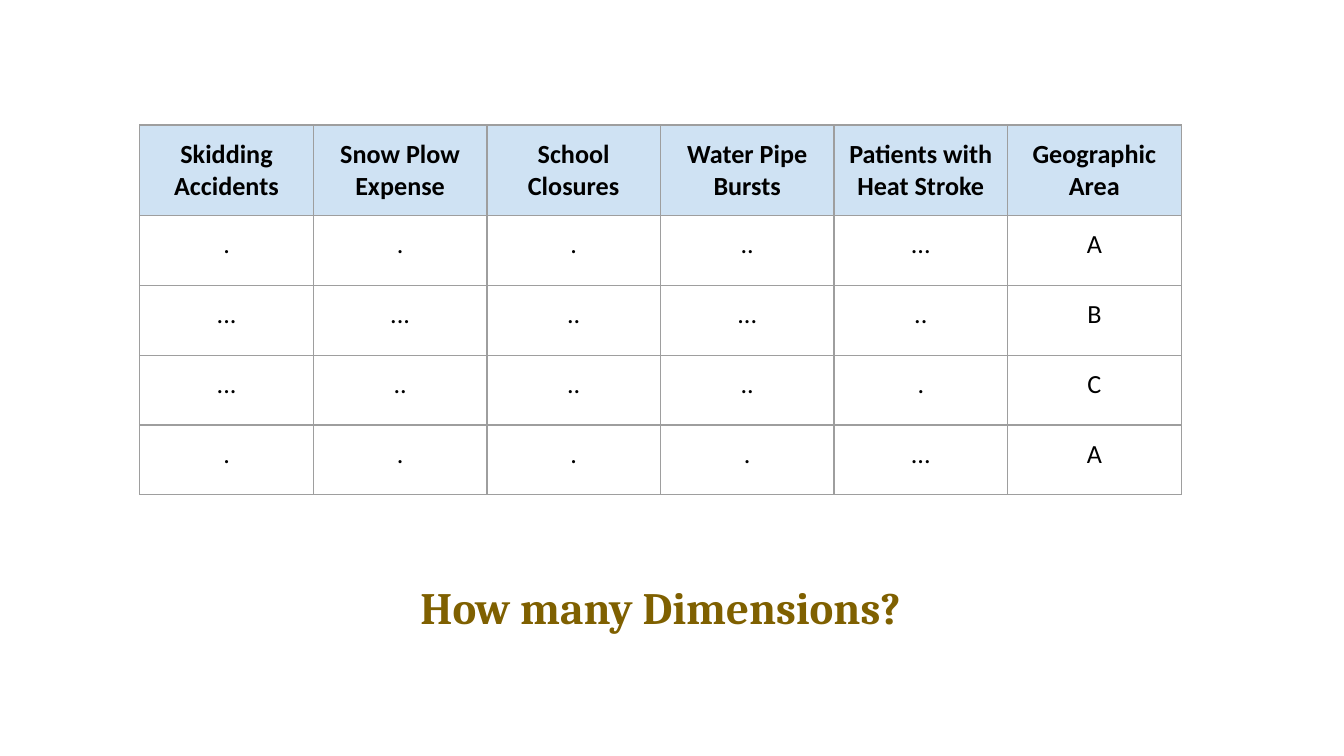
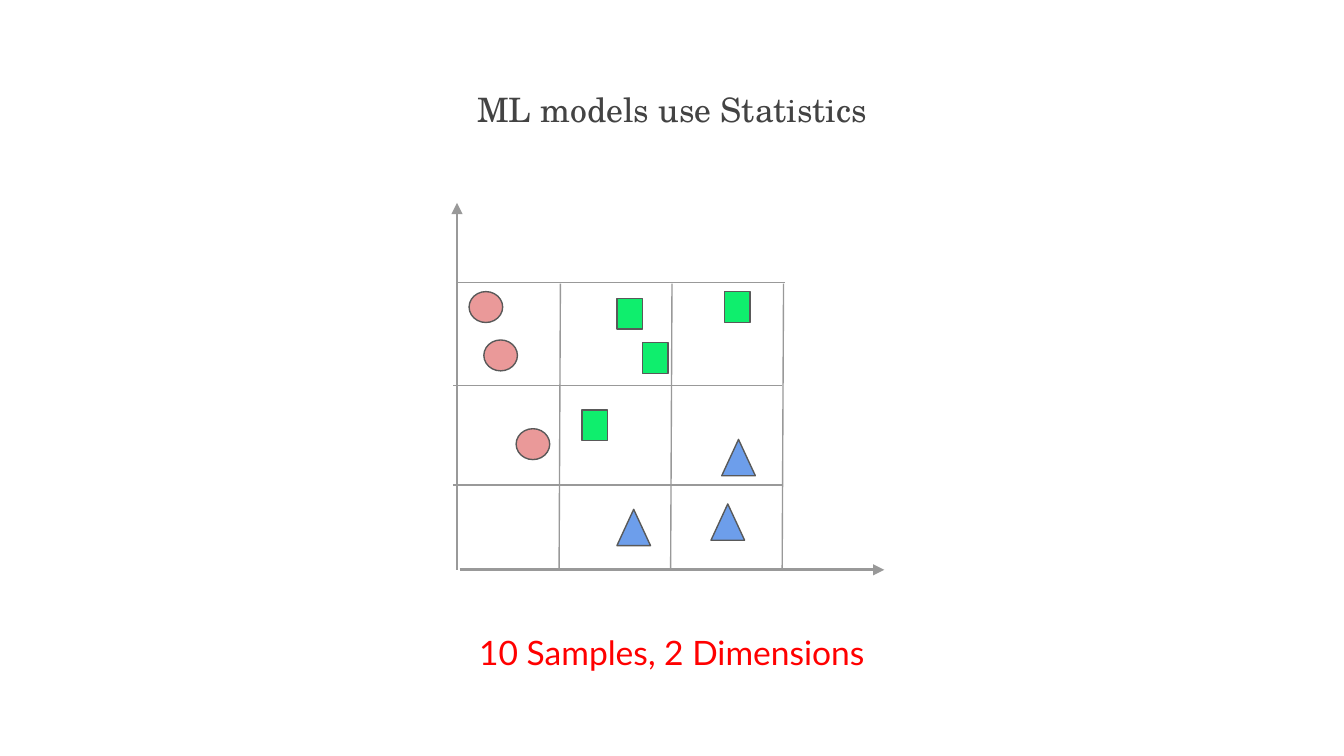
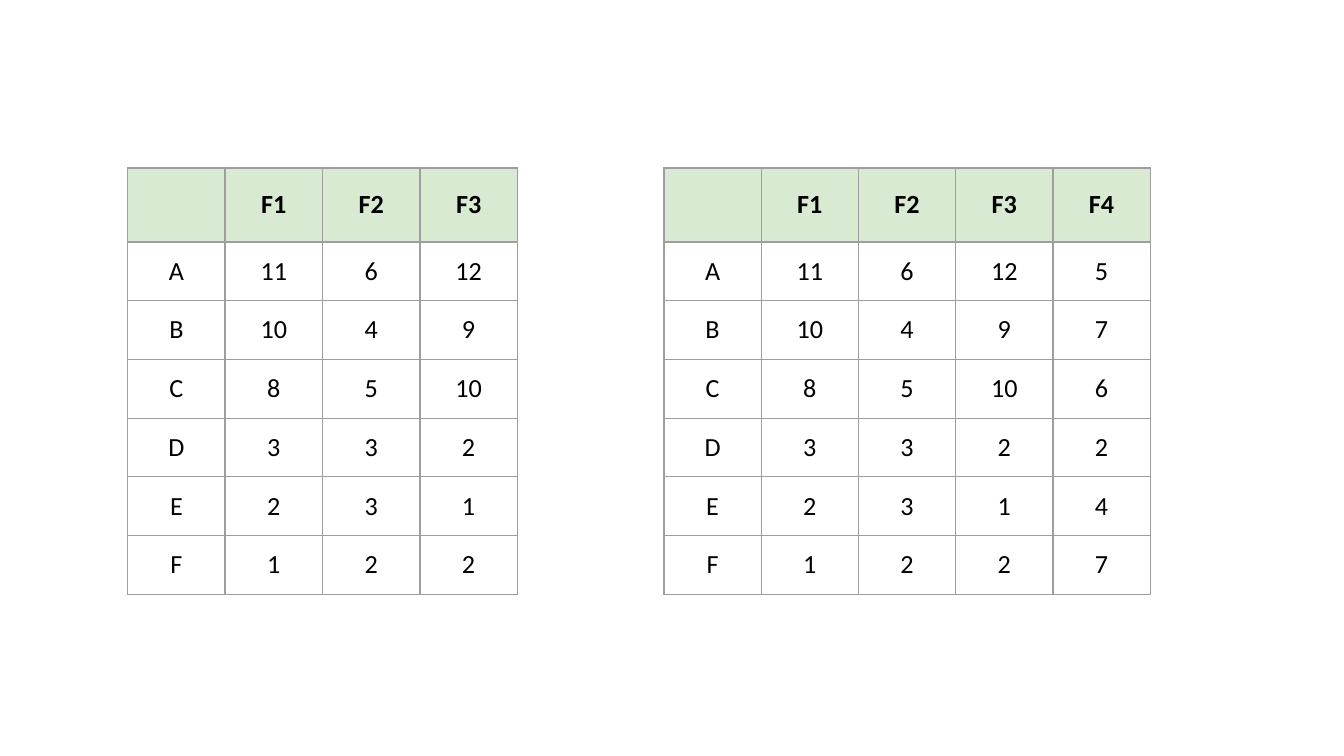
from collections import namedtuple

from lxml import etree
from pptx import Presentation
from pptx import util as u
from pptx.dml.color import RGBColor
from pptx.enum import shapes, text
from pptx.oxml import ns

COLORS = {
    "black": "000000", "title": "434343", "brown": "7F6000", "red": "FF0000",
    "blue_header": "CFE2F3", "green_header": "D9EAD3", "border": "9E9E9E",
    "axis": "999999", "outline": "595959",
    "square": "0FEE6D", "circle": "EA9999", "triangle": "6D9EEB",
}
TITLE_ONLY, BLANK = 5, 6
INSET = u.Inches(0.1)
THIN, THICK = u.Pt(0.75), u.Pt(1.5)

Box = namedtuple("Box", "left top width height")
TITLE_BOX = Box(1.03, 0.58, 7.94, 0.47)

SYMPTOMS = [
    ["Skidding Accidents", "Snow Plow Expense", "School Closures",
     "Water Pipe Bursts", "Patients with Heat Stroke", "Geographic Area"],
    [".", ".", ".", "..", "...", "A"],
    ["...", "...", "..", "...", "..", "B"],
    ["...", "..", "..", "..", ".", "C"],
    [".", ".", ".", ".", "...", "A"],
]
FEATURES = [
    ["", "F1", "F2", "F3", "F4"],
    ["A", "11", "6", "12", "5"],
    ["B", "10", "4", "9", "7"],
    ["C", "8", "5", "10", "6"],
    ["D", "3", "3", "2", "2"],
    ["E", "2", "3", "1", "4"],
    ["F", "1", "2", "2", "7"],
]

# Marker kind: preset shape, width, height, positions within the plot
MARKERS = {
    "square": (shapes.MSO_SHAPE.RECTANGLE, 0.19, 0.23,
               [(1.38, 1.04), (1.19, 0.71), (1.99, 0.66), (0.93, 1.54)]),
    "circle": (shapes.MSO_SHAPE.OVAL, 0.25, 0.23,
               [(0.44, 1.68), (0.09, 0.66), (0.2, 1.02)]),
    "triangle": (shapes.MSO_SHAPE.ISOSCELES_TRIANGLE, 0.25, 0.27,
                 [(1.19, 2.28), (1.97, 1.76), (1.89, 2.24)]),
}


def rgb(name):
    return RGBColor.from_string(COLORS[name])


def write(para, words, size, font, color, bold=False):
    para.alignment = text.PP_ALIGN.CENTER
    span = para.add_run()
    span.text = words
    span.font.size = u.Pt(size)
    span.font.name = font
    span.font.bold = bold
    span.font.color.rgb = rgb(color)


def set_margins(holder):
    holder.margin_left = holder.margin_right = INSET
    holder.margin_top = holder.margin_bottom = INSET


def fill_text(shape, box, words, **style):
    """Place a text shape in its box and give it one centred line."""
    shape.left, shape.top, shape.width, shape.height = map(u.Inches, box)
    frame = shape.text_frame
    frame.word_wrap = True
    frame.auto_size = text.MSO_AUTO_SIZE.NONE
    frame.vertical_anchor = text.MSO_ANCHOR.MIDDLE
    set_margins(frame)
    write(frame.paragraphs[0], words, **style)


def add_caption(page, box, words, **style):
    shape = page.shapes.add_textbox(*map(u.Inches, box))
    fill_text(shape, box, words, **style)


# Tables

def set_borders(cell):
    props = cell._tc.get_or_add_tcPr()
    for position, side in enumerate(("lnL", "lnR", "lnT", "lnB")):
        line = etree.Element(ns.qn(f"a:{side}"), w=str(THIN))
        fill = etree.SubElement(line, ns.qn("a:solidFill"))
        etree.SubElement(fill, ns.qn("a:srgbClr"), val=COLORS["border"])
        props.insert(position, line)


def add_grid(page, left, top, width, rows, heights, header_color):
    """Add a table of equal columns; heights are (header row, body row)."""
    header_height, body_height = heights
    columns = len(rows[0])
    total = header_height + body_height * (len(rows) - 1)
    table = page.shapes.add_table(
        len(rows), columns, *map(u.Inches, (left, top, width, total))).table
    table.horz_banding = False
    table.first_row = False
    for r, values in enumerate(rows):
        is_header = r == 0
        table.rows[r].height = u.Inches(header_height if is_header else body_height)
        for c, value in enumerate(values):
            cell = table.cell(r, c)
            set_margins(cell)
            if is_header:
                cell.vertical_anchor = text.MSO_ANCHOR.MIDDLE
                cell.fill.solid()
                cell.fill.fore_color.rgb = rgb(header_color)
            else:
                cell.fill.background()
            set_borders(cell)
            if value:
                write(cell.text_frame.paragraphs[0], value, 14, "Calibri",
                      "black", is_header)


# Scatter plot

def add_line(page, box, start, end, width=THIN, arrow=False):
    ends = [u.Inches(origin + offset) for point in (start, end)
            for origin, offset in zip((box.left, box.top), point)]
    connector = page.shapes.add_connector(shapes.MSO_CONNECTOR.STRAIGHT, *ends)
    connector.line.color.rgb = rgb("axis")
    connector.line.width = width
    if arrow:
        etree.SubElement(connector.line._get_or_add_ln(), ns.qn("a:tailEnd"),
                         type="triangle")
    etree.SubElement(connector._element.spPr, ns.qn("a:effectLst"))


def add_marker(page, box, kind, preset, x, y, width, height):
    marker = page.shapes.add_shape(
        preset, *map(u.Inches, (box.left + x, box.top + y, width, height)))
    marker.shadow.inherit = False
    marker.fill.solid()
    marker.fill.fore_color.rgb = rgb(kind)
    marker.line.color.rgb = rgb("outline")
    marker.line.width = THIN


def add_plot(page, box):
    # Samples
    for kind, (preset, width, height, places) in MARKERS.items():
        for x, y in places:
            add_marker(page, box, kind, preset, x, y, width, height)
    # Axes
    base = box.height
    add_line(page, box, (0.02, base), (box.width, base), THICK, arrow=True)
    add_line(page, box, (0, base), (0, 0), THICK, arrow=True)
    # Grid lines, the upright ones leaning slightly
    for i in range(3):
        x = 0.76 + 0.83 * i
        add_line(page, box, (x, base), (x + 0.01, 0.6))
    for left, right, y in ((-0.01, 2.44, 0.59), (-0.03, 2.42, 1.36), (-0.03, 2.42, 2.1)):
        add_line(page, box, (right, y), (left, y))


# Slides

def build_dimensions(page):
    add_grid(page, 1.04, 0.93, 7.75, SYMPTOMS, (0.52, 0.52), "blue_header")
    add_caption(page, Box(2.26, 4.19, 5.31, 0.65), "How many Dimensions?",
                size=24, font="Cambria", color="brown", bold=True)


def build_statistics(page):
    fill_text(page.shapes.title, TITLE_BOX, "ML models use Statistics",
              size=18, font="TeX Gyre Schola", color="title")
    add_plot(page, Box(3.4, 1.51, 3.18, 2.73))
    add_caption(page, TITLE_BOX._replace(top=4.62), "10 Samples, 2 Dimensions",
                size=18, font="Lato", color="red")


def build_features(page):
    three_features = [row[:4] for row in FEATURES]
    for left, width, rows in ((0.95, 2.9, three_features), (4.94, 3.62, FEATURES)):
        add_grid(page, left, 1.25, width, rows, (0.55, 0.4), "green_header")


def main():
    deck = Presentation()
    # Widescreen, 16 to 9
    deck.slide_width = u.Inches(10)
    deck.slide_height = deck.slide_width * 9 // 16
    for build, layout in ((build_dimensions, BLANK), (build_statistics, TITLE_ONLY),
                          (build_features, BLANK)):
        build(deck.slides.add_slide(deck.slide_layouts[layout]))
    deck.save("out.pptx")


if __name__ == "__main__":
    main()
